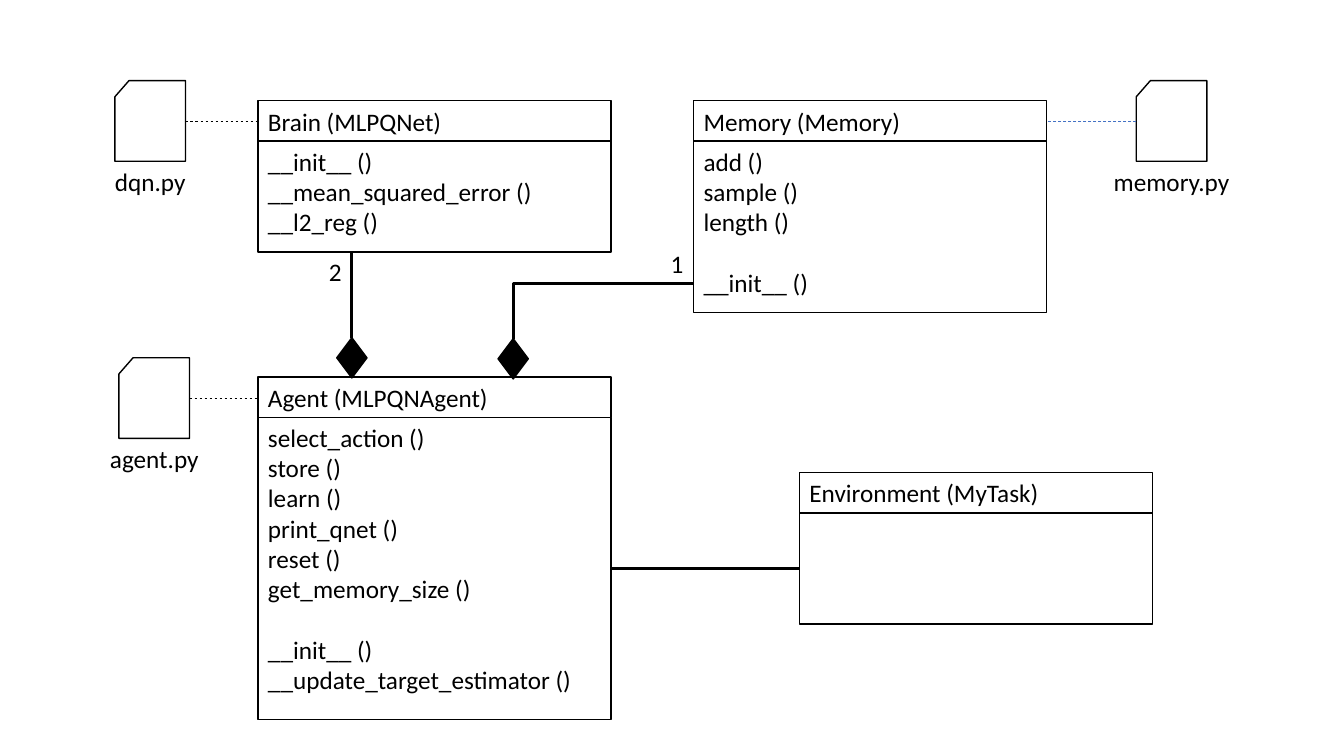
from lxml import etree
from pptx import Presentation
from pptx.dml.color import RGBColor
from pptx.enum.dml import MSO_LINE
from pptx.enum.shapes import MSO_CONNECTOR, MSO_SHAPE
from pptx.enum.text import MSO_ANCHOR, MSO_AUTO_SIZE, PP_ALIGN
from pptx.oxml.ns import qn
from pptx.util import Inches, Pt

RECTANGLE, CARD, DIAMOND = MSO_SHAPE.RECTANGLE, MSO_SHAPE.FLOWCHART_CARD, MSO_SHAPE.DIAMOND
STRAIGHT, ELBOW = MSO_CONNECTOR.STRAIGHT, MSO_CONNECTOR.ELBOW
TOP, MIDDLE = MSO_ANCHOR.TOP, MSO_ANCHOR.MIDDLE
LEFT, CENTER = PP_ALIGN.LEFT, PP_ALIGN.CENTER
FIT_SHAPE, DASH = MSO_AUTO_SIZE.SHAPE_TO_FIT_TEXT, MSO_LINE.DASH

THEME = {
    "ink": RGBColor(0, 0, 0),
    "paper": RGBColor(255, 255, 255),
    "accent": RGBColor(0x44, 0x72, 0xC4),
    "font": "Calibri",
    "size": Pt(18),
    "group_gap": Pt(22),
    "outline": Pt(1),
    "thin": Pt(0.5),
    "thick": Pt(2.25),
}

CLASS_WIDTH, HEADER_HEIGHT = 3.5, 0.4
CARD_WIDTH, CARD_HEIGHT = 0.7, 0.8
DIAMOND_WIDTH, DIAMOND_HEIGHT = 0.3, 0.4
LABEL_HEIGHT = 0.4

presentation = Presentation()
presentation.slide_width = Inches(13.33)
presentation.slide_height = Inches(7.5)
slide = presentation.slides.add_slide(presentation.slide_layouts[6])


def add_box(kind, left, top, width, height, fill="paper", groups=(), frame_format=None, align=LEFT):
    bounds = [Inches(value) for value in (left, top, width, height)]
    if kind is None:
        shape = slide.shapes.add_textbox(*bounds)
    else:
        shape = slide.shapes.add_shape(kind, *bounds)
        shape.shadow.inherit = False
        shape.fill.solid()
        shape.fill.fore_color.rgb = THEME[fill]
        shape.line.color.rgb = THEME["ink"]
        shape.line.width = THEME["outline"]
    frame = shape.text_frame
    for name, value in (frame_format or {}).items():
        setattr(frame, name, value)
    paragraph = None
    for group_index, group in enumerate(groups):
        for line_index, text in enumerate(group):
            paragraph = frame.add_paragraph() if paragraph else frame.paragraphs[0]
            paragraph.alignment = align
            if group_index and line_index == 0:
                paragraph.space_before = THEME["group_gap"]
            run = paragraph.add_run()
            run.text = text
            run.font.name = THEME["font"]
            run.font.size = THEME["size"]
            run.font.color.rgb = THEME["ink"]


def add_line(kind, start, end, width, color="ink", dash=None):
    connector = slide.shapes.add_connector(kind, *[Inches(value) for value in start + end])
    connector.line.color.rgb = THEME[color]
    connector.line.width = THEME[width]
    if dash:
        connector.line.dash_style = dash
    etree.SubElement(connector._element.spPr, qn("a:effectLst"))
    return connector


classes = [
    (2.56, 3.74, 3.0, "Agent (MLPQNAgent)", [
        ["select_action ()", "store ()", "learn ()", "print_qnet ()", "reset ()", "get_memory_size ()"],
        ["__init__ ()", "__update_target_estimator ()"],
    ]),
    (2.56, 1.0, 1.1, "Brain (MLPQNet)", [["__init__ ()", "__mean_squared_error ()", "__l2_reg ()"]]),
    (6.88, 1.0, 1.7, "Memory (Memory)", [["add ()", "sample ()", "length ()"], ["__init__ ()"]]),
    (7.93, 4.69, 1.1, "Environment (MyTask)", []),
]
for left, top, body_height, title, methods in classes:
    add_box(RECTANGLE, left, top, CLASS_WIDTH, HEADER_HEIGHT, groups=[[title]],
            frame_format={"word_wrap": True, "vertical_anchor": MIDDLE})
    add_box(RECTANGLE, left, top + HEADER_HEIGHT, CLASS_WIDTH, body_height, groups=methods,
            frame_format={"word_wrap": True, "vertical_anchor": TOP})

label_format = {"word_wrap": False, "auto_size": FIT_SHAPE}
files = [
    ("agent.py", 1.18, 3.55, 1.09, 1.88, 2.56, "ink"),
    ("dqn.py", 1.14, 0.8, 0.91, 1.84, 2.56, "ink"),
    ("memory.py", 11.27, 0.8, 1.36, 11.27, 10.38, "accent"),
]
for name, left, top, label_width, card_edge, class_edge, color in files:
    add_box(CARD, left, top, CARD_WIDTH, CARD_HEIGHT)
    add_box(None, left + (CARD_WIDTH - label_width) / 2, top + CARD_HEIGHT, label_width, LABEL_HEIGHT,
            groups=[[name]], frame_format=label_format, align=CENTER)
    link_y = top + CARD_HEIGHT / 2
    add_line(STRAIGHT, (card_edge, link_y), (class_edge, link_y), "thin", color, DASH)

for center, top in [(3.49, 3.35), (5.09, 3.36)]:
    add_box(DIAMOND, center - DIAMOND_WIDTH / 2, top, DIAMOND_WIDTH, DIAMOND_HEIGHT, fill="ink")

add_line(STRAIGHT, (3.49, 3.35), (3.49, 2.5), "thick")
add_line(STRAIGHT, (6.06, 5.64), (7.93, 5.64), "thick")

memory_link = add_line(ELBOW, (6.26, 3.98), (5.71, 2.19), "thick")
properties = memory_link._element.spPr
properties.find(qn("a:xfrm")).set("rot", "5400000")
properties.find(qn("a:prstGeom")).set("prst", "bentConnector2")

for count, left, top in [("2", 3.16, 2.49), ("1", 6.55, 2.41)]:
    add_box(None, left, top, 0.33, LABEL_HEIGHT, groups=[[count]], frame_format=label_format, align=CENTER)

presentation.save("out.pptx")
